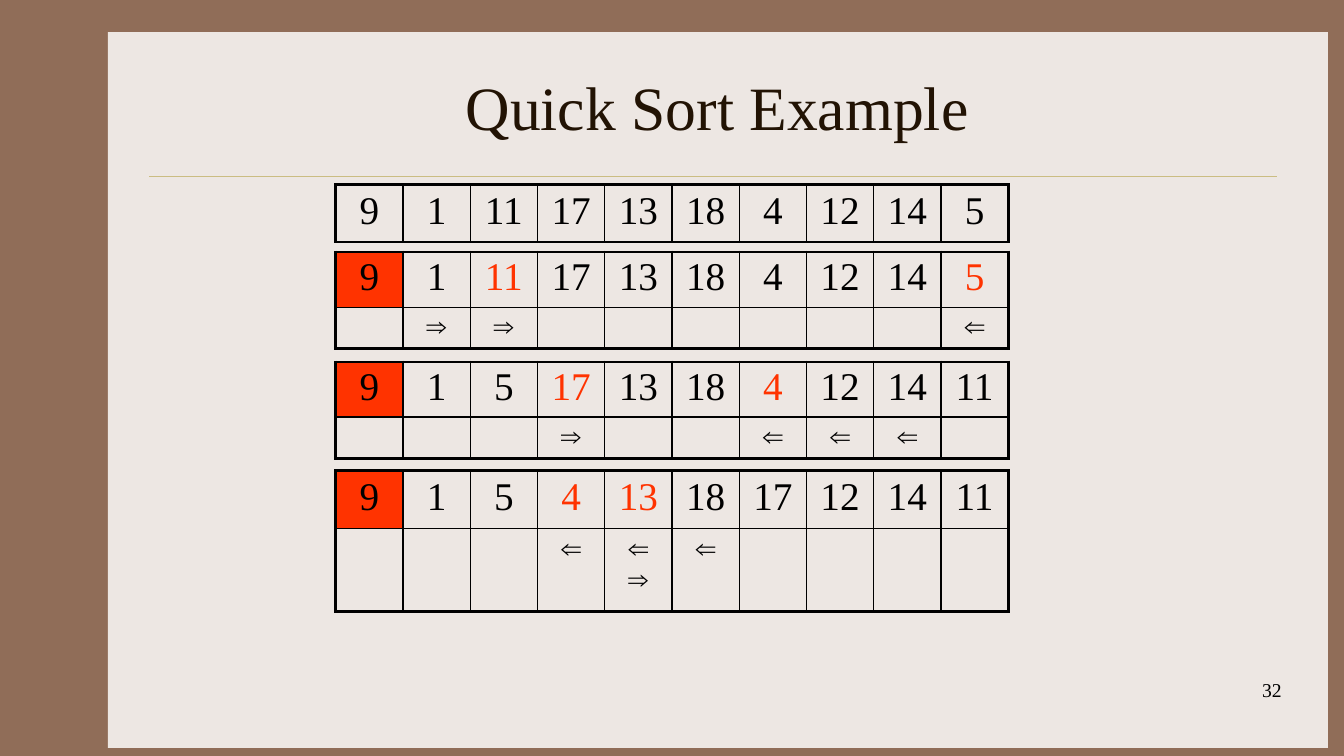
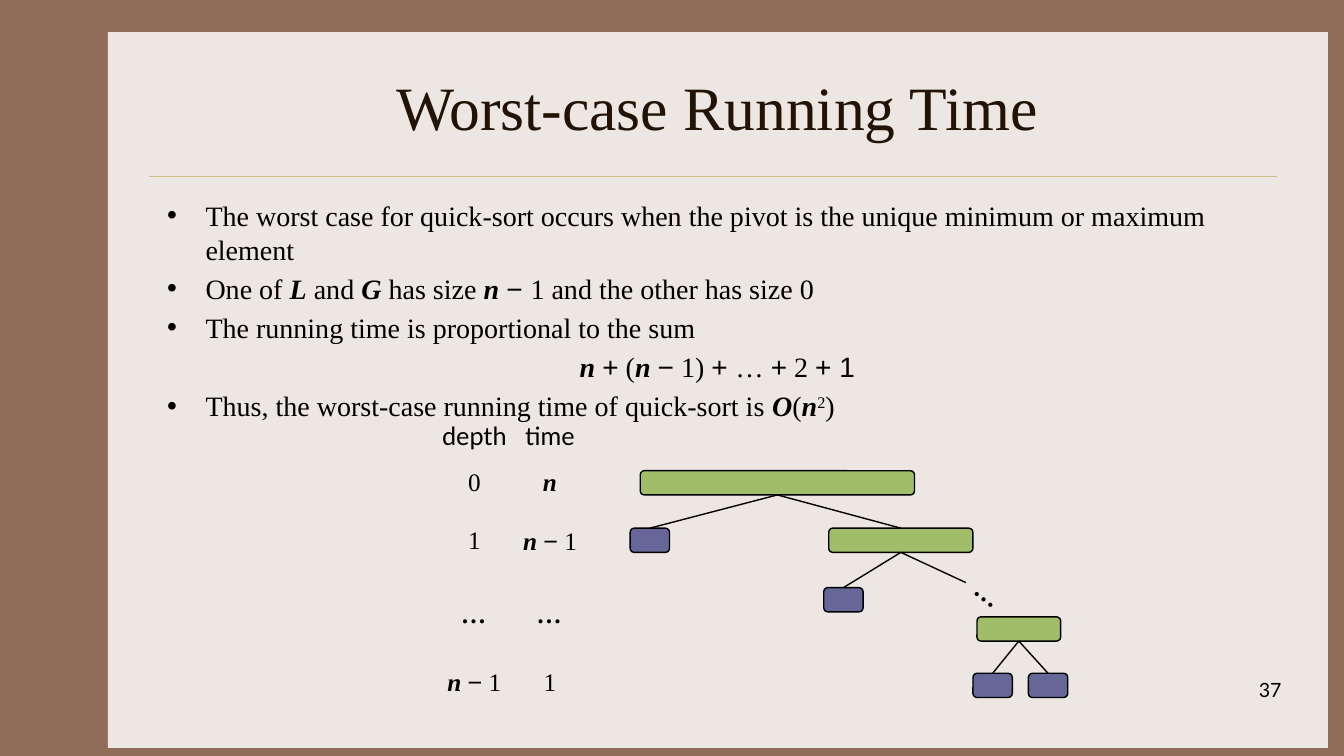
import pptx
import pptx.dml.color
import pptx.enum.shapes
import pptx.enum.text
import pptx.oxml
import pptx.oxml.ns
import pptx.util
from pptx.util import Inches

COLORS = {
    "frame": "906D58", "panel": "EDE7E3", "rule": "CBBD83", "title": "221304",
    "ink": "000000", "mark": "FF3300", "large": "A1BD69", "small": "666699",
}
SERIF, SANS, SIGN_FONT = "Times New Roman", "Lato", "Arial"
VARIABLE = {"bold": True, "italic": True}
SIGN = {"font": SIGN_FONT}
PLAIN_TABLE = "{2D5ABB26-0587-4C30-8999-92F81FD0307C}"
ALIGN = pptx.enum.text.PP_ALIGN
ANCHOR = pptx.enum.text.MSO_ANCHOR
SHAPE = pptx.enum.shapes.MSO_SHAPE


def rgb(name):
    return pptx.dml.color.RGBColor.from_string(COLORS[name])


def add_element(parent, tag, **attributes):
    child = pptx.oxml.parse_xml(f"<a:{tag} {pptx.oxml.ns.nsdecls('a')}/>")
    for key, value in attributes.items():
        child.set(key, str(value))
    parent.append(child)
    return child


def add_text(para, text, size=20, font=SERIF, color="ink", bold=False,
             italic=False, raised=False):
    span = para.add_run()
    span.text = text
    span.font.size = pptx.util.Pt(size)
    span.font.name = font
    span.font.bold, span.font.italic = bold, italic
    span.font.color.rgb = rgb(color)
    if raised:
        span.font._element.set("baseline", "30000")


def add_spans(para, spans, **style):
    """Write plain strings and (text, format) pairs in one paragraph."""
    for item in spans:
        text, extra = (item, {}) if isinstance(item, str) else item
        add_text(para, text, **{**style, **extra})


class Deck:
    def __init__(self):
        self.deck = pptx.Presentation()
        self.deck.slide_width, self.deck.slide_height = Inches(13.33), Inches(7.5)
        self.page = None

    def add_page(self, title, number, number_font):
        self.page = self.deck.slides.add_slide(self.deck.slide_layouts[6])
        fill = self.page.background.fill
        fill.solid()
        fill.fore_color.rgb = rgb("frame")
        self.shape(SHAPE.RECTANGLE, 1.07, 0.32, 12.1, 7.1, "panel")
        self.line((1.48, 1.75), (12.67, 1.75), "rule", 0.25)
        self.text(title, 1.56, 0.42, 11.11, 1.25, align=ALIGN.CENTER,
                  anchor=ANCHOR.MIDDLE, size=44, color="title")
        self.text(str(number), 10.03, 6.68, 2.78, 0.5, align=ALIGN.RIGHT,
                  size=14, font=number_font)

    def shape(self, kind, left, top, width, height, fill, line=None):
        shape = self.page.shapes.add_shape(
            kind, Inches(left), Inches(top), Inches(width), Inches(height))
        shape.shadow.inherit = False
        shape.fill.solid()
        shape.fill.fore_color.rgb = rgb(fill)
        if line:
            shape.line.color.rgb = rgb(line)
            shape.line.width = pptx.util.Pt(1)
        else:
            shape.line.fill.background()
        return shape

    def line(self, start, end, color="ink", width=1):
        line = self.page.shapes.add_connector(
            pptx.enum.shapes.MSO_CONNECTOR.STRAIGHT,
            *(Inches(value) for value in (*start, *end)))
        line.line.color.rgb = rgb(color)
        line.line.width = pptx.util.Pt(width)
        add_element(line._element.spPr, "effectLst")
        return line

    def box(self, left, top, width, height, anchor=ANCHOR.TOP, wrap=True):
        box = self.page.shapes.add_textbox(
            Inches(left), Inches(top), Inches(width), Inches(height))
        box.text_frame.word_wrap = wrap
        box.text_frame.vertical_anchor = anchor
        return box

    def text(self, text, left, top, width, height, align=ALIGN.LEFT,
             anchor=ANCHOR.TOP, wrap=True, **style):
        box = self.box(left, top, width, height, anchor, wrap)
        para = box.text_frame.paragraphs[0]
        para.alignment = align
        add_text(para, text, **style)
        return box

    def bullets(self, left, top, width, height, items):
        """Each item is (has bullet, spans); items without one are centred."""
        frame = self.box(left, top, width, height).text_frame
        for index, (bulleted, spans) in enumerate(items):
            para = frame.add_paragraph() if index else frame.paragraphs[0]
            para.alignment = ALIGN.LEFT if bulleted else ALIGN.CENTER
            para.space_before = pptx.util.Pt(4 if index else 0)
            properties = para._p.get_or_add_pPr()
            properties.set("marL", str(Inches(0.38)))
            properties.set("indent", str(Inches(-0.38)))
            if bulleted:
                add_element(properties, "buFont", typeface=SIGN_FONT)
                add_element(properties, "buChar", char="•")
            else:
                add_element(properties, "buNone")
            add_spans(para, spans)

    def table(self, left, top, column, columns, heights):
        shape = self.page.shapes.add_table(
            len(heights), columns, Inches(left), Inches(top),
            Inches(column * columns), Inches(sum(heights)))
        table = shape.table
        table.first_row = table.horz_banding = False
        style = table._tbl.tblPr.find(pptx.oxml.ns.qn("a:tableStyleId"))
        style.text = PLAIN_TABLE
        for item in table.columns:
            item.width = Inches(column)
        for item, height in zip(table.rows, heights):
            item.height = Inches(height)
        return table

    def cell(self, cell, spans, fill=None, side=0.0, inset=0.0,
             anchor=ANCHOR.TOP, borders=None, **style):
        cell.margin_left = cell.margin_right = Inches(side)
        cell.margin_top = cell.margin_bottom = Inches(inset)
        cell.vertical_anchor = anchor
        for tag, width in (borders or {}).items():
            edge = add_element(cell._tc.get_or_add_tcPr(), tag,
                               w=pptx.util.Pt(width))
            add_element(add_element(edge, "solidFill"), "srgbClr",
                        val=COLORS["ink"])
        if fill:
            cell.fill.solid()
            cell.fill.fore_color.rgb = rgb(fill)
        else:
            cell.fill.background()
        para = cell.text_frame.paragraphs[0]
        para.alignment = ALIGN.CENTER
        add_spans(para, spans, **style)

    def array(self, top, heights, values, marked=(), arrows=None, inset=0.05):
        """Array values, the pivot first, with scan arrows by column below."""
        table = self.table(3.33, top, 0.667, len(values), heights)
        last_row, last_column = len(heights) - 1, len(values) - 1
        for row in range(len(heights)):
            for column, value in enumerate(values):
                borders = {
                    "lnL": 1 if column else 2.25,
                    "lnR": 2.25 if column == last_column else 1,
                    "lnT": 1 if row else 2.25,
                    "lnB": 2.25 if row == last_row else 1,
                }
                if row:
                    spans = [arrows[column]] if column in arrows else []
                    style = {"size": 20, "bold": True}
                else:
                    spans = [str(value)]
                    style = {"size": 28,
                             "color": "mark" if column in marked else "ink"}
                pivot = arrows and row == 0 and column == 0
                self.cell(table.cell(row, column), spans, borders=borders,
                          fill="mark" if pivot else None, side=0.1,
                          inset=inset, **style)

    def node(self, left, top, width, kind):
        return self.shape(SHAPE.ROUNDED_RECTANGLE, left, top, width, 0.24,
                          kind, "ink")

    def branch(self, parent, child=None, end=(0, 0)):
        line = self.line((0, 0), end)
        line.begin_connect(parent, 2)
        if child:
            line.end_connect(child, 0)


def build_example(deck):
    deck.add_page("Quick Sort Example", 32, SERIF)
    start = [9, 1, 11, 17, 13, 18, 4, 12, 14, 5]
    right, left = "⇒", "⇐"
    deck.array(1.83, [0.57], start)
    deck.array(2.5, [0.53, 0.41], start, marked=(2, 9), inset=0.04,
               arrows={1: right, 2: right, 9: left})
    deck.array(3.59, [0.53, 0.41], [9, 1, 5, 17, 13, 18, 4, 12, 14, 11],
               marked=(3, 6), inset=0.04,
               arrows={3: right, 6: left, 7: left, 8: left})
    deck.array(4.67, [0.57, 0.83], [9, 1, 5, 4, 13, 18, 17, 12, 14, 11],
               marked=(3, 4), arrows={3: left, 4: f"{left} {right}", 5: left})


def build_worst_case(deck):
    deck.add_page("Worst-case Running Time", 37, SANS)
    n = ("n ", VARIABLE)
    deck.bullets(1.56, 1.92, 11.11, 4.5, [
        (True, ["The worst case for quick-sort occurs when the pivot is the "
                "unique minimum or maximum element"]),
        (True, ["One of ", ("L", VARIABLE), " and ", ("G", VARIABLE),
                " has size ", n, ("− ", SIGN), "1 and the other has size 0"]),
        (True, ["The running time is proportional to the sum"]),
        (False, [n, ("+", SIGN), " (", n, ("−", SIGN), " 1) ", ("+ ", SIGN),
                 "… ", ("+", SIGN), " 2 ", ("+ 1", SIGN)]),
        (True, ["Thus, the worst-case running time of quick-sort is ",
                ("O", VARIABLE), "(", ("n", VARIABLE), ("2", {"raised": True}),
                ")"]),
    ])

    # Recursion tree
    root = deck.node(6.35, 4.67, 2.72, "large")
    second = deck.node(8.22, 5.24, 1.43, "large")
    last = deck.node(9.69, 6.12, 0.83, "large")
    leaves = [(root, 6.25, 5.24), (second, 8.17, 5.83),
              (last, 9.65, 6.68), (last, 10.2, 6.68)]
    for parent, left, top in leaves:
        deck.branch(parent, deck.node(left, top, 0.39, "small"))
    deck.branch(root, second)
    deck.branch(second, end=(9.58, 5.78))
    dots = deck.text("…", 9.6, 5.62, 0.47, 0.5, wrap=False, size=24, font=SANS)
    dots.rotation = 38.4

    # Depth and time of each level
    less_one = [n, ("−", SIGN), " 1"]
    dotted = [("…", VARIABLE)]
    levels = [(["depth"], ["time"]), (["0"], [("n", VARIABLE)]),
              (["1"], less_one), (dotted, dotted), (less_one, ["1"])]
    table = deck.table(4.33, 4.17, 0.75, 2, [0.34, 0.56, 0.6, 0.87, 0.47])
    for row, level in enumerate(levels):
        for column, spans in enumerate(level):
            deck.cell(table.cell(row, column), spans, size=18,
                      font=SERIF if row else SANS,
                      anchor=ANCHOR.MIDDLE if row else ANCHOR.TOP)


def main():
    deck = Deck()
    build_example(deck)
    build_worst_case(deck)
    deck.deck.save("out.pptx")


if __name__ == "__main__":
    main()
